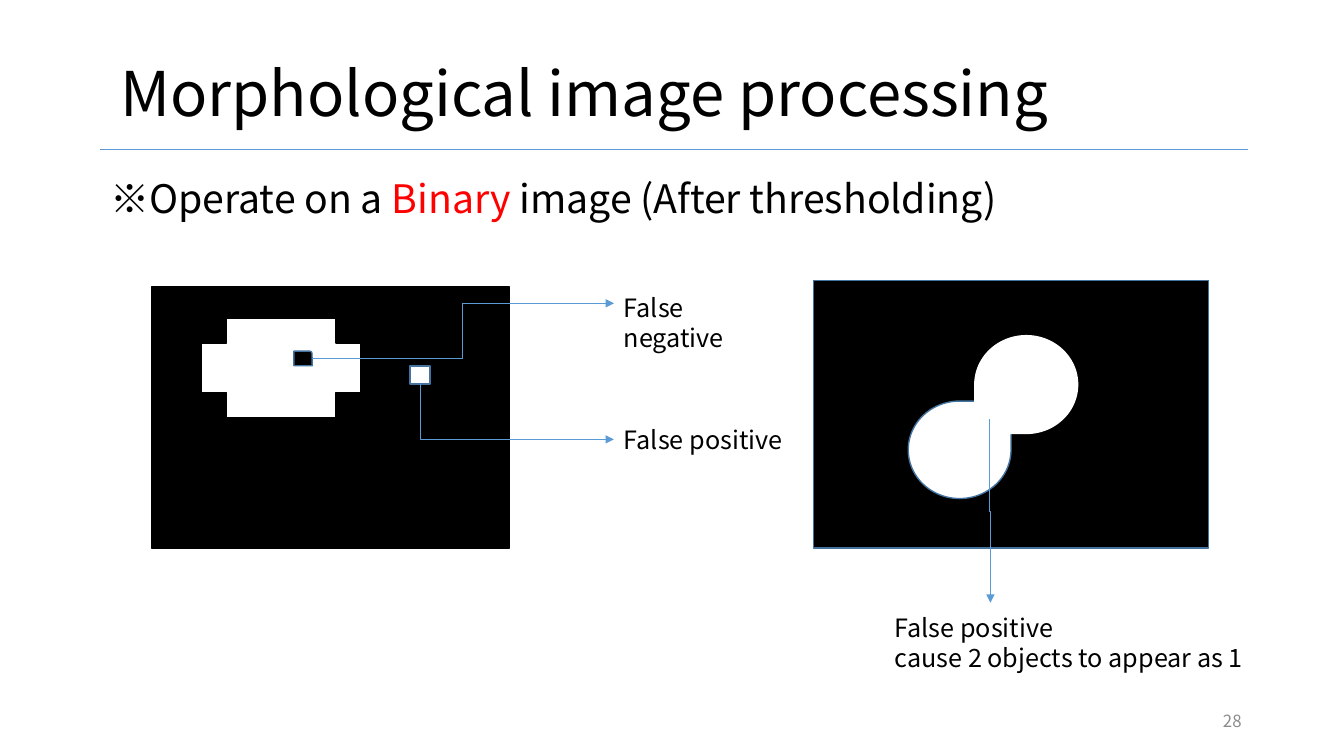
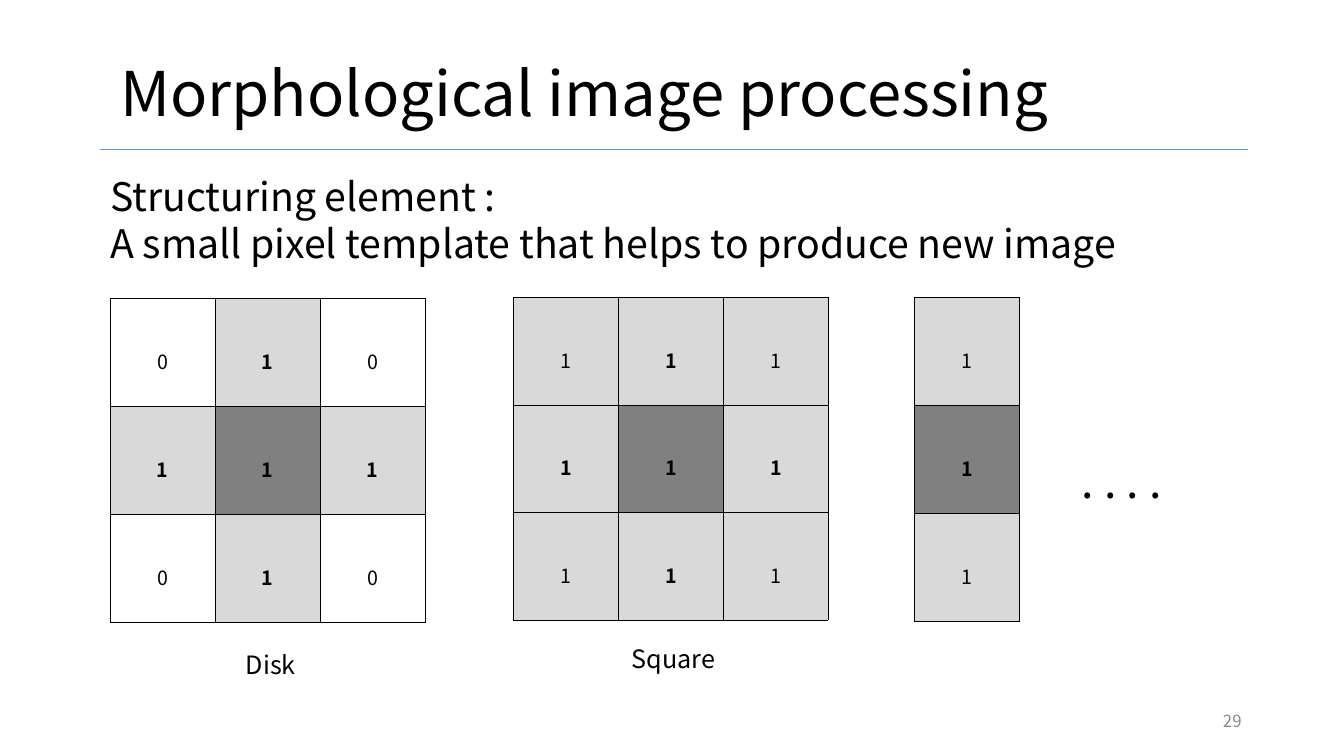
import pptx
import pptx.util
import pptx.dml.color
import pptx.enum.shapes
import pptx.enum.text
import pptx.oxml.ns
from lxml import etree

FONT = "Noto Sans CJK KR"
BLACK, WHITE, RED = "000000", "FFFFFF", "FF0000"
OUTLINE, ACCENT, NUMBER = "43739E", "5B9BD5", "8C8C8C"
LIGHT, DARK = "D9D9D9", "808080"
TITLE = "Morphological image processing"

WIDTH = pptx.util.Inches(13.33)
HEIGHT = pptx.util.Inches(7.5)
MARGIN = 7.46

SHAPES = pptx.enum.shapes.MSO_SHAPE
CONNECTORS = pptx.enum.shapes.MSO_CONNECTOR
ALIGN = pptx.enum.text.PP_ALIGN
ANCHOR = pptx.enum.text.MSO_ANCHOR
qn = pptx.oxml.ns.qn


# Grid of 100 columns and 100 rows over the slide
def column(count):
    return round(WIDTH * count / 100)


def row(count):
    return round(HEIGHT * count / 100)


def area(left, top, width, height):
    return column(left), row(top), column(width), row(height)


def color(value):
    return pptx.dml.color.RGBColor.from_string(value)


# Text
def add_run(paragraph, text, size, shade=BLACK, bold=False):
    run = paragraph.add_run()
    run.text = text
    run.font.name = FONT
    run.font.size = pptx.util.Pt(size)
    run.font.bold = bold
    run.font.color.rgb = color(shade)
    properties = run.font._element
    etree.SubElement(properties, qn("a:ea")).set("typeface", FONT)


def add_text(slide, box, paragraphs, size, align=ALIGN.LEFT,
             anchor=ANCHOR.TOP, spacing=None):
    """Each paragraph is a list of (text, colour) runs."""
    frame = slide.shapes.add_textbox(*area(*box)).text_frame
    frame.word_wrap = True
    frame.vertical_anchor = anchor
    for index, runs in enumerate(paragraphs):
        paragraph = frame.add_paragraph() if index else frame.paragraphs[0]
        paragraph.alignment = align
        paragraph.line_spacing = spacing
        for text, shade in runs:
            add_run(paragraph, text, size, shade)


def add_label(slide, box, *lines, size=18):
    add_text(slide, box, [[(line, BLACK)] for line in lines], size)


# Shapes and connectors
def add_figure(slide, kind, box, fill, line, rotation=0):
    shape = slide.shapes.add_shape(kind, *area(*box))
    shape.shadow.inherit = False
    shape.rotation = rotation
    shape.fill.solid()
    shape.fill.fore_color.rgb = color(fill)
    shape.line.color.rgb = color(line)
    shape.line.width = pptx.util.Pt(1)


def add_line(slide, kind, points):
    connector = slide.shapes.add_connector(kind, *points)
    connector.line.color.rgb = color(ACCENT)
    connector.line.width = pptx.util.Pt(0.5)
    etree.SubElement(connector._element.spPr, qn("a:effectLst"))
    return connector


def add_elbow_arrow(slide, start, end, downward=False, preset="bentConnector3"):
    """A downward arrow leaves vertically: a mirrored elbow turned by 270°."""
    left, top = column(start[0]), row(start[1])
    right, bottom = column(end[0]), row(end[1])
    points = left, top, right, bottom
    if downward:
        middle_x, middle_y = (left + right) // 2, (top + bottom) // 2
        half_x, half_y = (bottom - top) // 2, (right - left) // 2
        points = (middle_x - half_x, middle_y - half_y,
                  middle_x + half_x, middle_y + half_y)
    connector = add_line(slide, CONNECTORS.ELBOW, points)
    properties = connector._element.spPr
    if downward:
        transform = properties.find(qn("a:xfrm"))
        transform.set("rot", "16200000")
        transform.set("flipH", "1")
    properties.find(qn("a:prstGeom")).set("prst", preset)
    tail = etree.SubElement(properties.find(qn("a:ln")), qn("a:tailEnd"))
    tail.set("type", "triangle")


# Tables of pixel weights
def add_borders(cell):
    properties = cell._tc.get_or_add_tcPr()
    for position, side in enumerate(("lnL", "lnR", "lnT", "lnB")):
        line = etree.Element(qn("a:" + side), w=str(pptx.util.Pt(0.28)))
        fill = etree.SubElement(line, qn("a:solidFill"))
        etree.SubElement(fill, qn("a:srgbClr"), val=BLACK)
        properties.insert(position, line)


def add_template(slide, left, top, cell_height, rows):
    """Rows are strings of digits; the middle cell is the origin."""
    columns = len(rows[0])
    cell_width = 7.81
    box = area(left, top, cell_width * columns, cell_height * len(rows))
    table = slide.shapes.add_table(len(rows), columns, *box).table
    table.first_row = table.horz_banding = False
    origin = len(rows) // 2, columns // 2
    for row_index, digits in enumerate(rows):
        table.rows[row_index].height = row(cell_height)
        for column_index, digit in enumerate(digits):
            table.columns[column_index].width = column(cell_width)
            cell = table.cell(row_index, column_index)
            shade = LIGHT if digit == "1" else WHITE
            if (row_index, column_index) == origin:
                shade = DARK
            cell.fill.solid()
            cell.fill.fore_color.rgb = color(shade)
            add_borders(cell)
            cell.vertical_anchor = ANCHOR.MIDDLE
            cell.margin_left = cell.margin_right = pptx.util.Inches(0.07)
            cell.margin_top = cell.margin_bottom = pptx.util.Inches(0.02)
            paragraph = cell.text_frame.paragraphs[0]
            paragraph.alignment = ALIGN.CENTER
            paragraph.line_spacing = 1.6
            on_axis = row_index == 1 or column_index == 1
            add_run(paragraph, digit, 14, bold=on_axis)


# Title, rule and page number shared by the slides
def add_slide(presentation, number):
    slide = presentation.slides.add_slide(presentation.slide_layouts[6])
    add_text(slide, (8.22, 3.07, 86.25, 19.33), [[(TITLE, BLACK)]], 44,
             anchor=ANCHOR.MIDDLE, spacing=0.9)
    ends = column(MARGIN), row(19.73), column(92.85), row(19.73)
    add_line(slide, CONNECTORS.STRAIGHT, ends)
    add_text(slide, (70.62, 92.67, 22.5, 5.33), [[(str(number), NUMBER)]], 12,
             align=ALIGN.RIGHT, anchor=ANCHOR.MIDDLE)
    return slide


def build_binary_slide(presentation):
    slide = add_slide(presentation, 28)
    statement = [("※Operate on a ", BLACK), ("Binary", RED),
                 (" image (After thresholding)", BLACK)]
    add_text(slide, (MARGIN, 22.4, 67.73, 7.6), [statement], 28)

    # Object with a hole and a stray pixel
    add_figure(slide, SHAPES.RECTANGLE, (11.3, 37.93, 26.58, 34.6), BLACK, BLACK)
    add_figure(slide, SHAPES.CROSS, (15, 42.13, 11.85, 13.07), WHITE, BLACK)
    add_figure(slide, SHAPES.ROUND_1_RECTANGLE, (21.87, 46.45, 1.35, 1.93),
               BLACK, OUTLINE)
    add_figure(slide, SHAPES.RECTANGLE, (30.5, 48.4, 1.5, 2.4), WHITE, OUTLINE)
    add_elbow_arrow(slide, (23.2, 47.47), (45.68, 40.13))
    add_elbow_arrow(slide, (31.28, 50.8), (45.68, 58.13), True, "bentConnector2")
    add_label(slide, (45.68, 38, 13.73, 5.33), "False negative")
    add_label(slide, (45.68, 55.47, 13.73, 5.33), "False positive")

    # Two touching objects
    add_figure(slide, SHAPES.RECTANGLE, (60.53, 37.07, 29.4, 35.4),
               BLACK, OUTLINE)
    add_figure(slide, SHAPES.TEAR, (67.58, 53.05, 7.65, 12.9), WHITE, OUTLINE)
    add_figure(slide, SHAPES.TEAR, (72.53, 44.4, 7.65, 12.93), WHITE, WHITE, 180)
    add_elbow_arrow(slide, (73.58, 55.47), (73.69, 79.73), True)
    add_label(slide, (65.83, 80.33, 32.1, 9.47),
              "False positive", "cause 2 objects to appear as 1")


def build_template_slide(presentation):
    slide = add_slide(presentation, 29)
    add_label(slide, (MARGIN, 22.13, 89.55, 13.87), "Structuring element :",
              "A small pixel template that helps to produce new image", size=28)
    add_template(slide, 8.2, 39.47, 14.29, ("010", "111", "010"))
    add_template(slide, 38.2, 39.3, 14.25, ("111", "111", "111"))
    add_template(slide, 68.03, 39.33, 14.29, ("1", "1", "1"))
    add_label(slide, (79.75, 59.33, 13.13, 8.53), ". . . .", size=32)
    add_label(slide, (17.55, 85.2, 5.78, 5.33), "Disk")
    add_label(slide, (46.25, 84.45, 7.8, 5.33), "Square")


def main():
    presentation = pptx.Presentation()
    presentation.slide_width = WIDTH
    presentation.slide_height = HEIGHT
    build_binary_slide(presentation)
    build_template_slide(presentation)
    presentation.save("out.pptx")


if __name__ == "__main__":
    main()
